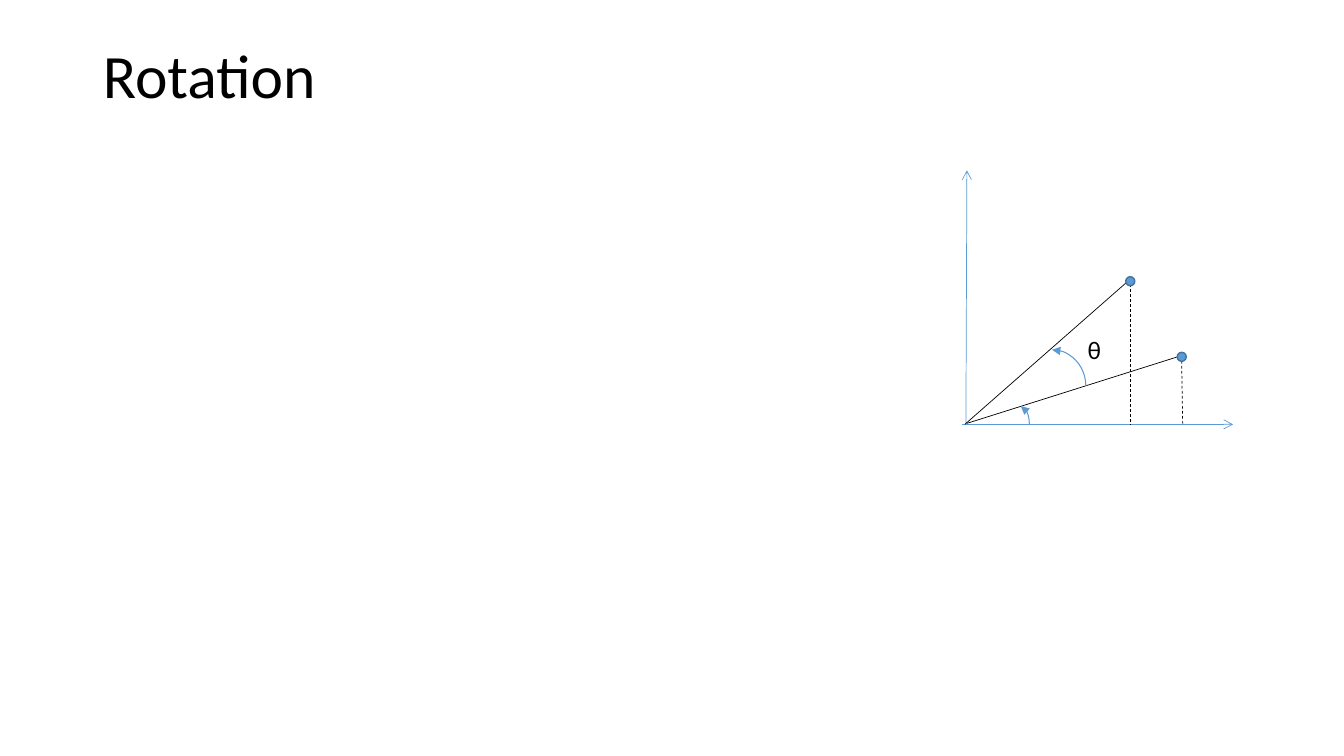
from lxml import etree
from pptx import Presentation
from pptx import util as u
from pptx.dml.color import RGBColor
from pptx.enum import dml, shapes, text
from pptx.oxml import ns

BLACK = RGBColor(0x00, 0x00, 0x00)
BLUE = RGBColor(0x5B, 0x9B, 0xD5)
DARK_BLUE = RGBColor(0x43, 0x72, 0x9D)

prs = Presentation()
prs.slide_width, prs.slide_height = u.Inches(13.33), u.Inches(7.5)
slide = prs.slides.add_slide(prs.slide_layouts[5])


def write(frame, words, size=18, color=BLACK, spacing=1.0):
    frame.word_wrap = True
    frame.vertical_anchor = text.MSO_ANCHOR.TOP
    paragraph = frame.paragraphs[0]
    paragraph.alignment = text.PP_ALIGN.LEFT
    paragraph.line_spacing = spacing
    run = paragraph.add_run()
    run.text = words
    run.font.name, run.font.size = "Calibri", u.Pt(size)
    run.font.color.rgb = color


def style_line(line, color, width, dashed=False, **arrowheads):
    line.color.rgb = color
    line.width = u.Pt(width)
    if dashed:
        line.dash_style = dml.MSO_LINE.DASH
    for end, kind in arrowheads.items():
        etree.SubElement(line._get_or_add_ln(), ns.qn(f"a:{end}"), type=kind)


# Title
title = slide.shapes.title
title.left, title.top = u.Inches(0.92), u.Inches(0.4)
title.width, title.height = u.Inches(11.5), u.Inches(1.45)
write(title.text_frame, "Rotation", size=44, spacing=0.9)

# Axes, rays to the two points, and their dashed drops to the x axis
axis_y = 4.21
rotated_x, rotated_y = 11.21, 2.77
start_x, start_y = 11.72, 3.54
segments = [
    ((9.58, axis_y), (9.59, 1.69), BLUE, {"tailEnd": "arrow"}),
    ((9.54, axis_y), (12.23, axis_y), BLUE, {"tailEnd": "arrow"}),
    ((9.57, axis_y), (rotated_x, rotated_y), BLACK, {}),
    ((9.59, 4.2), (11.68, start_y), BLACK, {}),
    ((rotated_x, rotated_y), (rotated_x, axis_y), BLACK, {"dashed": True}),
    ((start_x, 3.58), (11.73, axis_y), BLACK, {"dashed": True}),
]
for begin, end, color, options in segments:
    segment = slide.shapes.add_connector(
        shapes.MSO_CONNECTOR.STRAIGHT, *map(u.Inches, begin + end))
    style_line(segment.line, color, 0.5, **options)
    etree.SubElement(segment._element.spPr, ns.qn("a:effectLst"))

# Angle arcs: from the x axis, then between the rays
for box in [(10.04, 4.03, 0.17, 0.36), (10.1, 3.47, 0.67, 0.72)]:
    angle = slide.shapes.add_shape(shapes.MSO_SHAPE.ARC, *map(u.Inches, box))
    angle.shadow.inherit = False
    angle.fill.background()
    style_line(angle.line, BLUE, 0, headEnd="triangle")

# Points
diameter = 0.09
for x, y in [(rotated_x, 2.79), (start_x, start_y)]:
    point = slide.shapes.add_shape(
        shapes.MSO_SHAPE.OVAL, u.Inches(x - diameter / 2),
        u.Inches(y - diameter / 2), u.Inches(diameter), u.Inches(diameter))
    point.shadow.inherit = False
    point.fill.solid()
    point.fill.fore_color.rgb = BLUE
    style_line(point.line, DARK_BLUE, 1)

# Angle label
theta = slide.shapes.add_textbox(*map(u.Inches, (10.69, 3.27, 0.23, 0.4)))
write(theta.text_frame, "θ")

prs.save("out.pptx")
